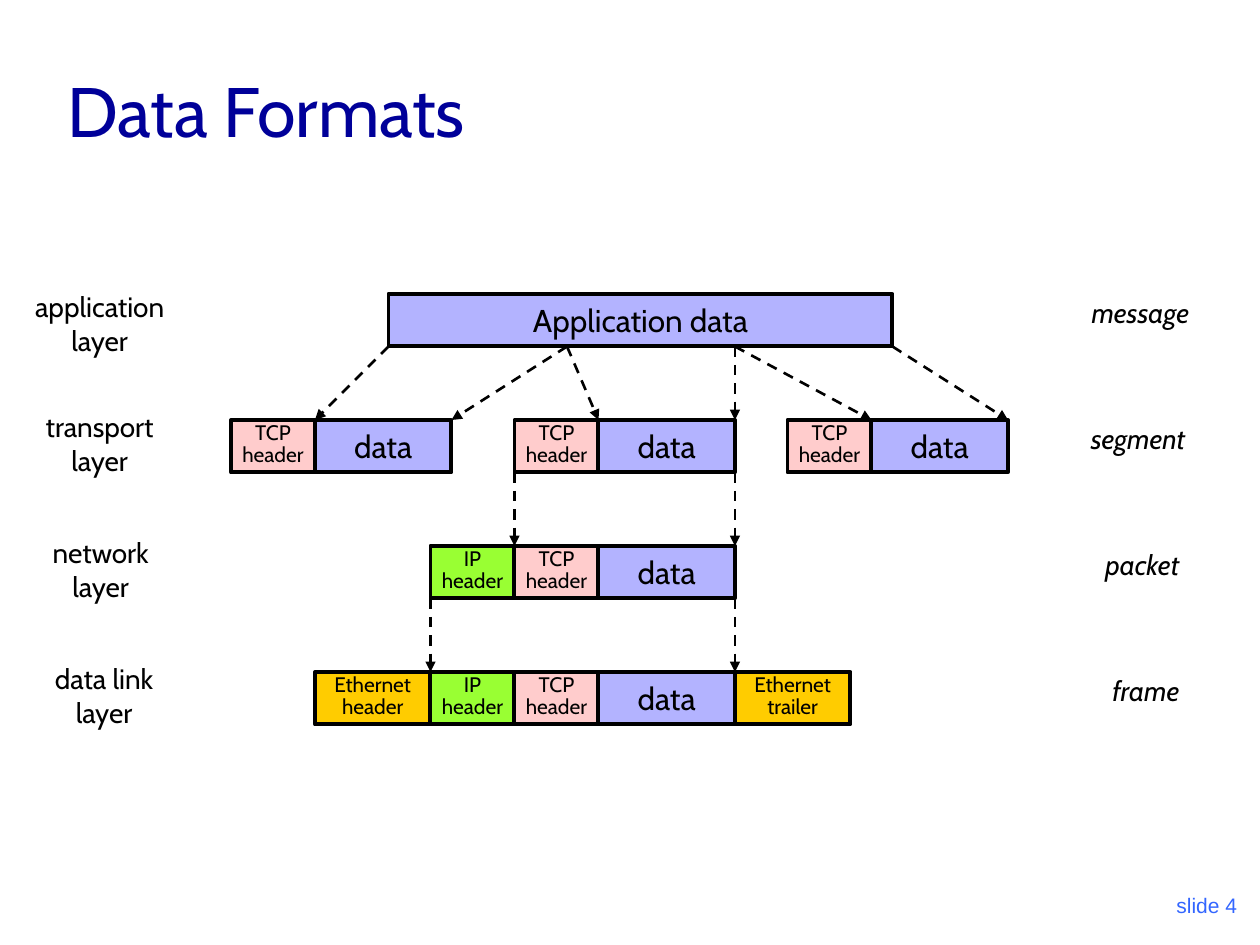
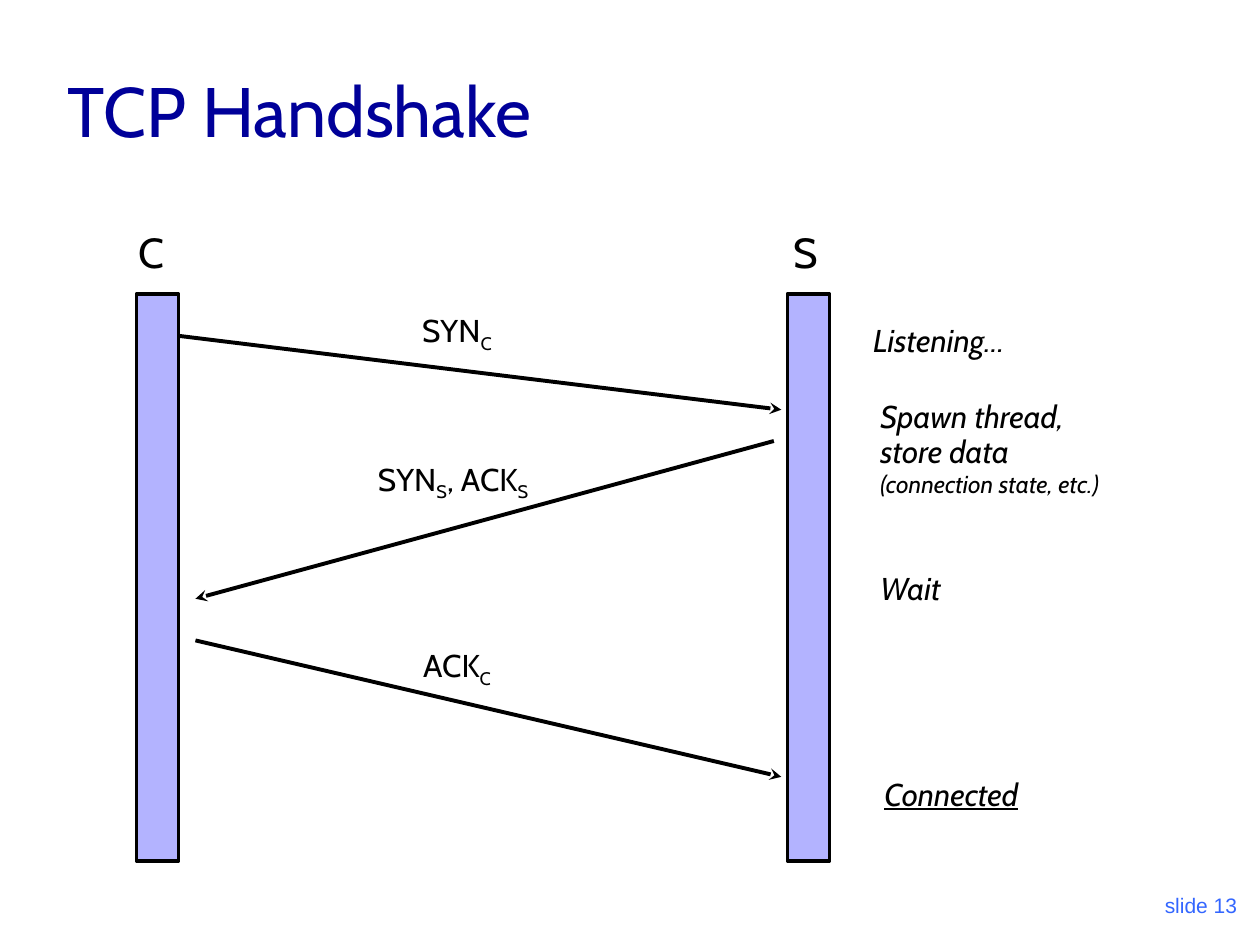
"""Builds two network slides: data formats by layer and the TCP handshake."""
from lxml.etree import SubElement
from pptx import Presentation
from pptx.dml.color import RGBColor
from pptx.enum.dml import MSO_LINE
from pptx.enum.shapes import MSO_CONNECTOR, MSO_SHAPE
from pptx.enum.text import MSO_ANCHOR, MSO_AUTO_SIZE, PP_ALIGN
from pptx.oxml.ns import qn
from pptx.util import Cm, Pt

HUES = {"ink": "000000", "title": "000099", "foot": "3366FF", "data": "B3B3FF",
        "tcp": "FFCCCC", "ip": "99FF33", "ether": "FFCC00"}
RGB = {name: RGBColor.from_string(code) for name, code in HUES.items()}
UNIT = Cm(2.54 / 12)

BASE = {"name": "Cabin", "size": Pt(18)}
MID = {"alignment": PP_ALIGN.CENTER}
TIGHT = {**MID, "line_spacing": 0.7, "space_before": Pt(3)}
LABEL = {**MID, "line_spacing": 0.8, "space_before": Pt(4)}
LEFT = {"alignment": PP_ALIGN.LEFT}
FREE = {"word_wrap": False, "auto_size": MSO_AUTO_SIZE.SHAPE_TO_FIT_TEXT}
CELL = {"word_wrap": False, "vertical_anchor": MSO_ANCHOR.MIDDLE}
LOW = {"word_wrap": True, "auto_size": MSO_AUTO_SIZE.NONE,
       "vertical_anchor": MSO_ANCHOR.BOTTOM}


def write(shape, frame, lines, para, font, hue="ink"):
    """Fills a shape with (text, changes) lines; every second part split by | is a subscript."""
    body = shape.text_frame
    for key, val in frame.items():
        setattr(body, key, val)
    for row, (text, swap) in enumerate(lines):
        line = body.add_paragraph() if row else body.paragraphs[0]
        look = {**para, **swap.get("para", {})}
        if not row:
            look["space_before"] = Pt(0)
        for key, val in look.items():
            setattr(line, key, val)
        for spot, part in enumerate(text.split("|")):
            run = line.add_run()
            run.text = part
            for key, val in {**BASE, **font, **swap.get("font", {})}.items():
                setattr(run.font, key, val)
            run.font.color.rgb = RGB[hue]
            if spot % 2:
                run.font._element.set("baseline", "-25000")


def draw(slide, ends, head, look):
    """Draws an arrow between two points."""
    wire = slide.shapes.add_connector(MSO_CONNECTOR.STRAIGHT, *ends)
    wire.line.color.rgb = RGB["ink"]
    for key, val in look.items():
        setattr(wire.line, key, val)
    props = wire._element.spPr
    SubElement(props.find(qn("a:ln")), qn("a:tailEnd"), type=head)
    SubElement(props, qn("a:effectLst"))


deck = Presentation()
deck.slide_width, deck.slide_height = Cm(25.4), Cm(19.05)

pages = []
for name, foot in [("Data Formats", "slide 4"), ("TCP Handshake", "slide 13")]:
    page = deck.slides.add_slide(deck.slide_layouts[5])
    title = page.shapes.title
    spot = {"left": Cm(1.11), "top": Cm(0.64), "width": Cm(21.59), "height": Cm(2.54)}
    for key, val in spot.items():
        setattr(title, key, val)
    write(title, LOW, [(name, {})], LEFT, {"size": Pt(40)}, "title")
    box = page.shapes.add_textbox(Cm(19.9), Cm(17.36), Cm(5.29), Cm(1.27))
    write(box, LOW, [(foot, {})], {"alignment": PP_ALIGN.RIGHT},
          {"name": "Arial", "size": Pt(12)}, "foot")
    pages.append(page)
forms, shake = pages

KINDS = {"app": (48, "data", ["Application data"]), "data": (13, "data", ["data"]),
         "tcp": (8, "tcp", ["TCP", "header"]), "ip": (8, "ip", ["IP", "header"]),
         "head": (11, "ether", ["Ethernet", "header"]),
         "tail": (11, "ether", ["Ethernet", "trailer"])}
CHAINS = [(37, 28, "app"), (22, 40, "tcp data"), (49, 40, "tcp data"),
          (75, 40, "tcp data"), (41, 52, "ip tcp data"), (30, 64, "head ip tcp data tail")]
for left, top, chain in CHAINS:
    for kind in chain.split():
        wide, hue, words = KINDS[kind]
        part = forms.shapes.add_shape(MSO_SHAPE.RECTANGLE, left * UNIT, top * UNIT,
                                      wide * UNIT, 5 * UNIT)
        part.shadow.inherit = False
        part.fill.solid()
        part.fill.fore_color.rgb = RGB[hue]
        part.line.color.rgb = RGB["ink"]
        part.line.width = Pt(2.25)
        small = len(words) > 1
        write(part, CELL, [(word, {}) for word in words], TIGHT if small else MID,
              {"size": Pt(12 if small else 18)})
        left += wide

LAYERS = [("application", 2.01, 5.84, 3.43, "message", 22.99, 2.69),
          ("transport", 2.01, 8.26, 3, "segment", 22.94, 2.64),
          ("network", 2.03, 10.8, 2.69, "packet", 23.03, 2.16),
          ("data link", 2.1, 13.34, 2.77, "frame", 23.1, 2.01)]
for row, (layer, mid, top, wide, unit, axis, span) in enumerate(LAYERS):
    box = forms.shapes.add_textbox(Cm(mid - wide / 2), Cm(top), Cm(wide), Cm(1.5))
    write(box, FREE, [(layer, {}), ("layer", {})], LABEL, {"size": Pt(16)})
    box = forms.shapes.add_textbox(Cm(axis - span / 2), Cm(5.97 + 2.54 * row),
                                   Cm(span), Cm(0.81))
    write(box, FREE, [(unit, {})], LABEL, {"size": Pt(16), "italic": True})

DASH = {"width": Pt(1.5), "dash_style": MSO_LINE.DASH}
DROPS = [(33, [(37, 30), (54, 43), (54, 57), (70, 70), (70, 83), (85, 96)]),
         (45, [(49, 49), (70, 70)]), (57, [(41, 41), (70, 70)])]
for top, pairs in DROPS:
    for start, end in pairs:
        ends = [n * UNIT for n in (start, top, end, top + 7)]
        draw(forms, ends, "triangle", DASH)

for name, left, bar in [("C", 2.54, 13), ("S", 15.75, 75)]:
    post = shake.shapes.add_shape(MSO_SHAPE.RECTANGLE, bar * UNIT, 28 * UNIT,
                                  4 * UNIT, 54 * UNIT)
    post.shadow.inherit = False
    post.fill.solid()
    post.fill.fore_color.rgb = RGB["data"]
    post.line.color.rgb = RGB["ink"]
    post.line.width = Pt(2.25)
    box = shake.shapes.add_textbox(Cm(left), Cm(4.45), Cm(1.04), Cm(1.27))
    write(box, FREE, [(name, {})], LEFT, {"size": Pt(24)})

STEPS = [("SYN|C", 8.26, 6.15, 1.93, (3.6, 6.77, 15.75, 8.26)),
         ("SYN|S|, ACK|S", 7.37, 9.14, 3.63, (15.6, 8.89, 3.94, 12.07)),
         ("ACK|C", 8.28, 12.9, 1.93, (3.94, 12.91, 15.75, 15.66))]
for text, left, top, wide, ends in STEPS:
    draw(shake, [Cm(n) for n in ends], "stealth", {"width": Pt(2.25)})
    box = shake.shapes.add_textbox(Cm(left), Cm(top), Cm(wide), Cm(1.12))
    write(box, FREE, [(text, {})], LEFT, {})

SPAWN = [("Spawn thread,", {}),
         ("store data", {"para": {"line_spacing": 0.7, "space_before": Pt(4.5)}}),
         ("(connection state, etc.)", {"para": {"line_spacing": 0.8, "space_before": Pt(3.5)},
                                       "font": {"size": Pt(14)}})]
STATES = [([("Listening…", {})], 17.35, 6.35, 3.53, 1.02), (SPAWN, 17.5, 7.87, 5.41, 2.31),
          ([("Wait", {})], 17.5, 11.35, 1.78, 1.02),
          ([("Connected", {"font": {"underline": True}})], 17.58, 15.49, 3.45, 1.02)]
for lines, left, top, wide, high in STATES:
    box = shake.shapes.add_textbox(Cm(left), Cm(top), Cm(wide), Cm(high))
    write(box, FREE, lines, LEFT, {"italic": True})

deck.save("out.pptx")
